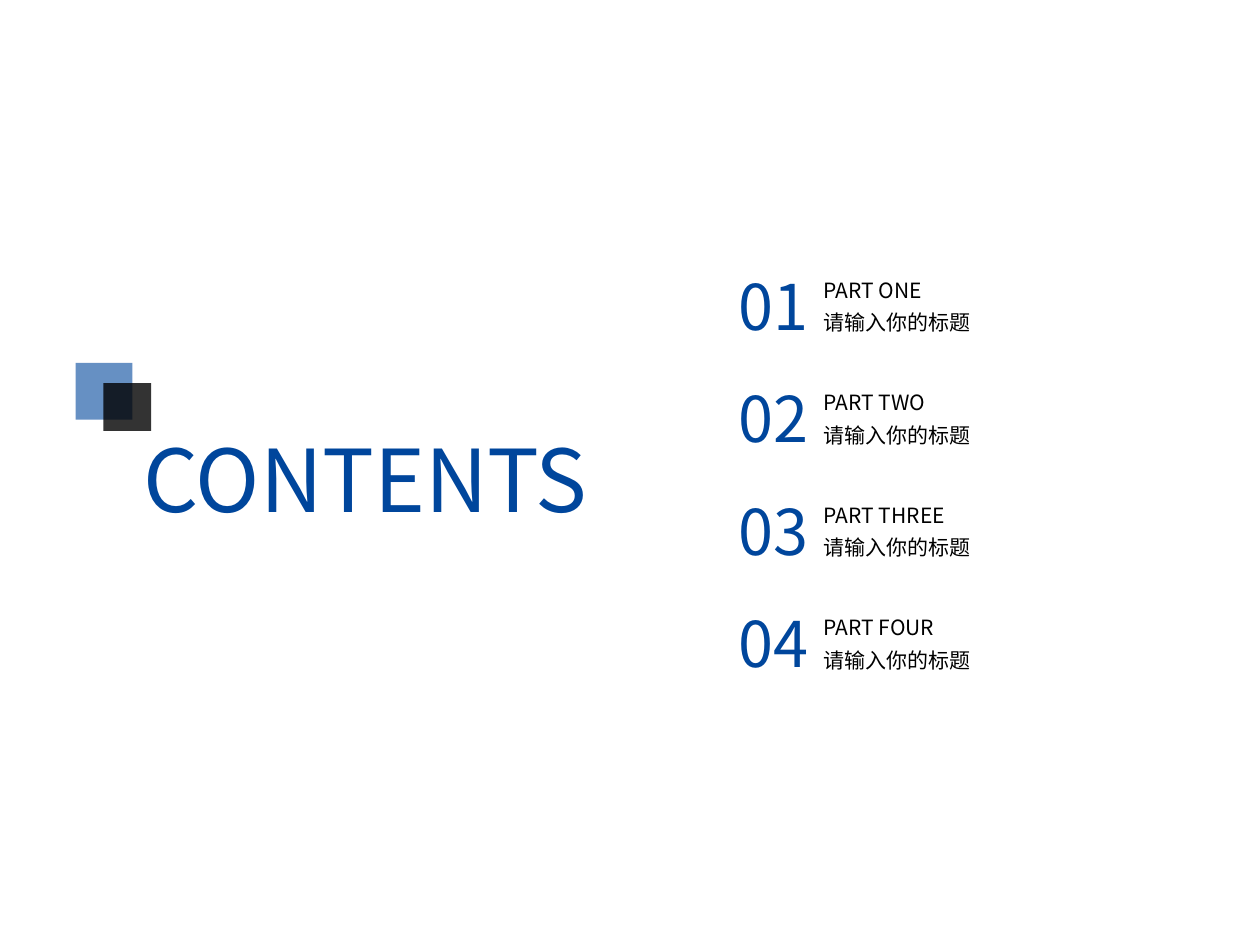
from pptx import Presentation
from pptx import util as u
from pptx.dml.color import RGBColor
from pptx.enum import shapes, text
from pptx.oxml.ns import qn
from lxml import etree

COLORS = {"blue": "00469C", "black": "000000"}
FONT = "Noto Sans CJK SC"

prs = Presentation()
prs.slide_width, prs.slide_height = u.Inches(10), u.Inches(7.5)
slide = prs.slides.add_slide(prs.slide_layouts[6])


def add_label(box, lines, size, color, spacing=None):
    """Add an unwrapped text box with one paragraph per line."""
    frame = slide.shapes.add_textbox(*map(u.Inches, box)).text_frame
    frame.word_wrap = False
    frame.auto_size = text.MSO_AUTO_SIZE.SHAPE_TO_FIT_TEXT
    frame.text = "\n".join(lines)
    for paragraph in frame.paragraphs:
        paragraph.line_spacing = spacing
        font = paragraph.runs[0].font
        for name, value in {"size": u.Pt(size), "name": FONT}.items():
            setattr(font, name, value)
        font.color.rgb = RGBColor.from_string(COLORS[color])
        # East Asian glyphs take their typeface from a separate element
        run_format = paragraph.runs[0].font._element
        etree.SubElement(run_format, qn("a:ea"), typeface=FONT)


add_label((1.04, 3.33, 3.93, 0.93), ["CONTENTS"], 49.5, "blue")

# Overlapping translucent squares: left, top, side, colour, opacity in percent
for left, top, side, color, opacity in [
    (0.6, 2.88, 0.45, "blue", 60),
    (0.82, 3.04, 0.38, "black", 80),
]:
    square = slide.shapes.add_shape(
        shapes.MSO_SHAPE.RECTANGLE, *map(u.Inches, (left, top, side, side)))
    square.shadow.inherit = False
    square.line.fill.background()
    square.fill.solid()
    square.fill.fore_color.rgb = RGBColor.from_string(COLORS[color])
    fill_color = square.fill._xPr.find(".//" + qn("a:srgbClr"))
    etree.SubElement(fill_color, qn("a:alpha"), val=str(opacity * 1000))

parts = ["ONE", "TWO", "THREE", "FOUR"]
first_top, last_top = 2.07, 4.75
pitch = (last_top - first_top) / (len(parts) - 1)
for index, part in enumerate(parts):
    top = first_top + index * pitch
    add_label((6.44, top + 0.02, 1.38, 0.6),
              [f"PART {part}", "请输入你的标题"], 12, "black", spacing=1.3)
    add_label((5.76, top, 0.79, 0.71), [f"{index + 1:02d}"], 36, "blue")

prs.save("out.pptx")
